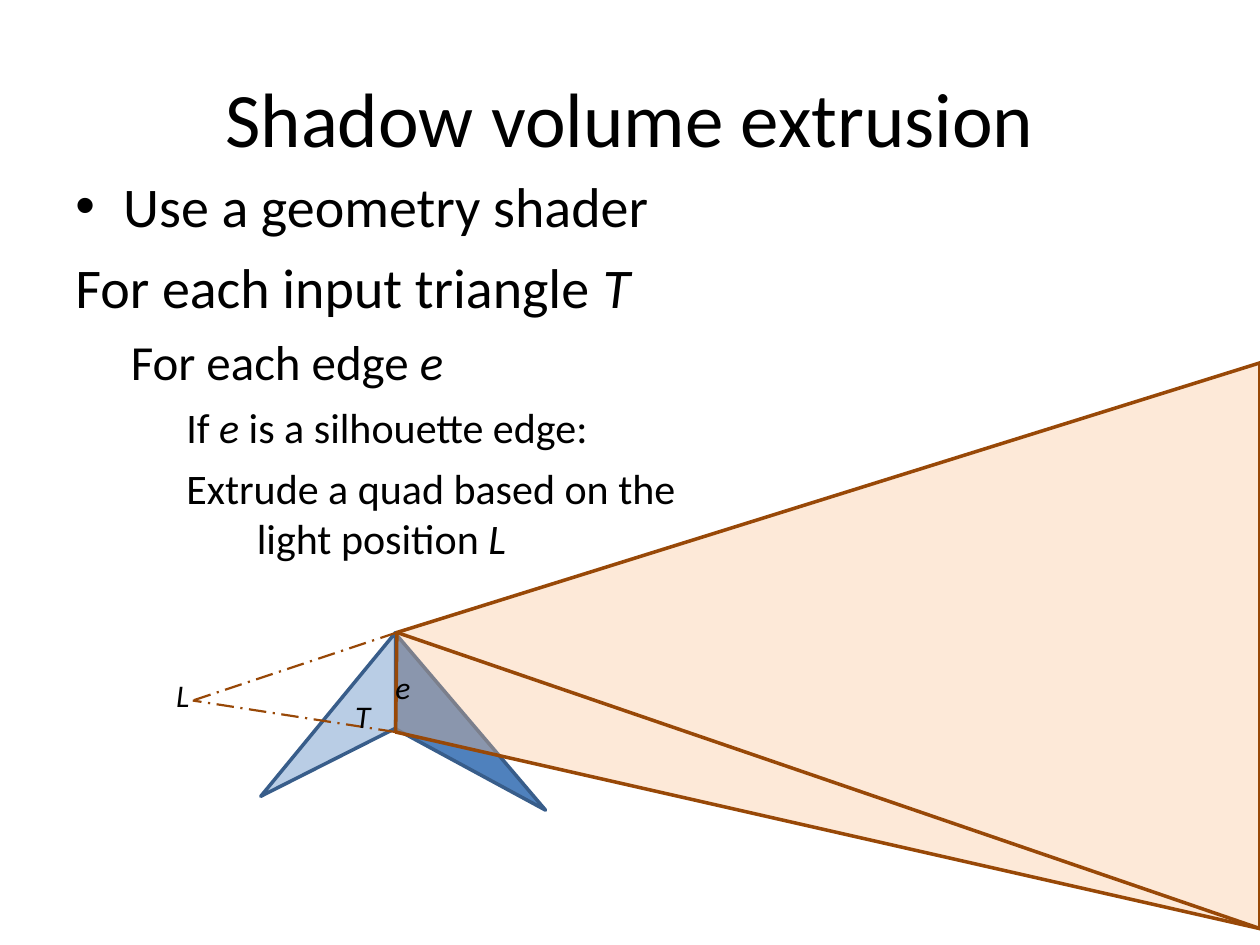
from lxml import etree
from pptx import Presentation
from pptx.dml.color import RGBColor
from pptx.enum.dml import MSO_LINE
from pptx.enum.shapes import MSO_CONNECTOR
from pptx.enum.text import MSO_ANCHOR, MSO_AUTO_SIZE, PP_ALIGN
from pptx.oxml.ns import qn
from pptx.util import Pt

PX = 9144  # EMU per px, 100 px to the inch
STRAIGHT = MSO_CONNECTOR.STRAIGHT
DASH_DOT = MSO_LINE.LONG_DASH_DOT
MIDDLE, CENTER = MSO_ANCHOR.MIDDLE, PP_ALIGN.CENTER
COLORS = {
    "text": "000000",
    "back": "4F81BD",
    "front": "B9CDE5",
    "edge": "385D8A",
    "volume": "FAC090",
    "ray": "984807",
}


def color(name):
    return RGBColor.from_string(COLORS[name])


class SlideBuilder:
    font = "Calibri"

    def __init__(self, prs):
        self.s = prs.slides.add_slide(prs.slide_layouts[5])

    def runs(self, p, parts, size):
        """Fill a paragraph; every second part is italic."""
        for i, part in enumerate(parts):
            for j, line in enumerate(part.split("\n")):
                if j:
                    p.add_line_break()
                if not line:
                    continue
                r = p.add_run()
                r.text = line
                style = {"name": self.font, "size": Pt(size), "italic": i % 2 == 1}
                for key, value in style.items():
                    setattr(r.font, key, value)
                r.font.color.rgb = color("text")

    def place(self, sp, box):
        for key, value in zip(("left", "top", "width", "height"), box):
            setattr(sp, key, value * PX)

    def title(self, text, box):
        sp = self.s.shapes.title
        self.place(sp, box)
        tf = sp.text_frame
        tf.vertical_anchor = MIDDLE
        p = tf.paragraphs[0]
        p.alignment = CENTER
        self.runs(p, [text], 44)

    def body(self, items, box):
        tf = self.s.shapes.add_textbox(*(v * PX for v in box)).text_frame
        tf.word_wrap = True
        for i, (level, bullet, parts) in enumerate(items):
            size, before, margin, indent = LEVELS[level]
            p = tf.add_paragraph() if i else tf.paragraphs[0]
            p.level = level
            p.space_before = Pt(before if i else 0)
            pPr = p._p.get_or_add_pPr()
            pPr.set("marL", str(margin * PX))
            pPr.set("indent", str(indent * PX))
            if bullet:
                etree.SubElement(pPr, qn("a:buFont")).set("typeface", "Arial")
                etree.SubElement(pPr, qn("a:buChar")).set("char", "•")
            else:
                etree.SubElement(pPr, qn("a:buNone"))
            self.runs(p, parts, size)

    def label(self, text, box):
        tf = self.s.shapes.add_textbox(*(v * PX for v in box)).text_frame
        tf.word_wrap = False
        tf.auto_size = MSO_AUTO_SIZE.SHAPE_TO_FIT_TEXT
        self.runs(tf.paragraphs[0], ["", text], 18)

    def polygon(self, points, fill, line, alpha=None):
        builder = self.s.shapes.build_freeform(*points[0], scale=PX)
        builder.add_line_segments(points[1:], close=True)
        sp = builder.convert_to_shape()
        sp.shadow.inherit = False
        sp.fill.solid()
        sp.fill.fore_color.rgb = color(fill)
        if alpha:
            clr = sp.fill._xPr.find(qn("a:solidFill"))[0]
            etree.SubElement(clr, qn("a:alpha")).set("val", str(alpha * 1000))
        sp.line.color.rgb = color(line)
        sp.line.width = Pt(2)

    def line(self, start, end, width, dash=None):
        cx = self.s.shapes.add_connector(STRAIGHT, *(v * PX for v in start + end))
        cx.line.color.rgb = color("ray")
        cx.line.width = Pt(width)
        if dash:
            cx.line.dash_style = dash
        etree.SubElement(cx._element.spPr, qn("a:effectLst"))


# Size, space before, left margin and first-line indent by level
LEVELS = [(32, 8, 38, -38), (28, 7, 100, -56), (24, 6, 144, -56)]
STEPS = [
    (0, True, ["Use a geometry shader"]),
    (0, False, ["For each input triangle ", "T"]),
    (1, False, ["For each edge ", "e"]),
    (2, False, ["If ", "e", " is a silhouette edge:"]),
    (2, False, ["Extrude a quad based on the \nlight position ", "L"]),
]


def main():
    prs = Presentation()
    prs.slide_width, prs.slide_height = 1000 * PX, 750 * PX
    slide = SlideBuilder(prs)

    # Title and algorithm
    slide.title("Shadow volume extrusion", (50, 30, 900, 125))
    slide.body(STEPS, (50, 131, 900, 539))

    # Two triangles that share the silhouette edge
    light = (153, 556)
    edge_top, edge_bottom = (315, 502), (314, 581)
    far_top, far_bottom = (1000, 288), (1000, 737)
    slide.polygon([(314, 503), (313, 578), (433, 643)], "back", "edge")
    slide.polygon([(314, 502), (207, 632), (314, 578)], "front", "edge")

    # Extruded quad with its diagonal
    quad = [edge_top, far_top, far_bottom, edge_bottom]
    slide.polygon(quad, "volume", "ray", alpha=35)
    slide.line(edge_top, far_bottom, 2)

    # Light rays
    for end in (edge_top, edge_bottom):
        slide.line(end, light, 1.25, DASH_DOT)

    # Labels
    slide.label("L", (130, 532, 30, 40))
    slide.label("T", (272, 548, 32, 40))
    slide.label("e", (304, 525, 32, 40))

    prs.save("out.pptx")


if __name__ == "__main__":
    main()
